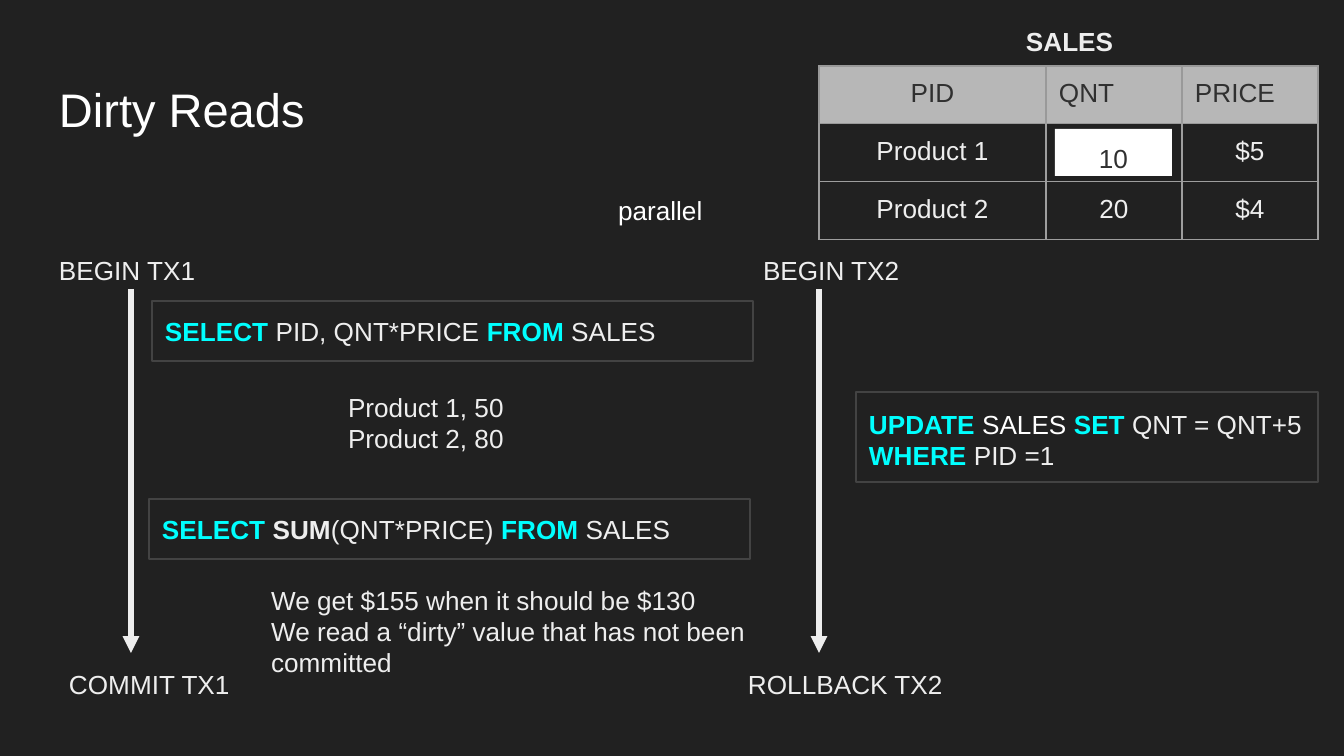
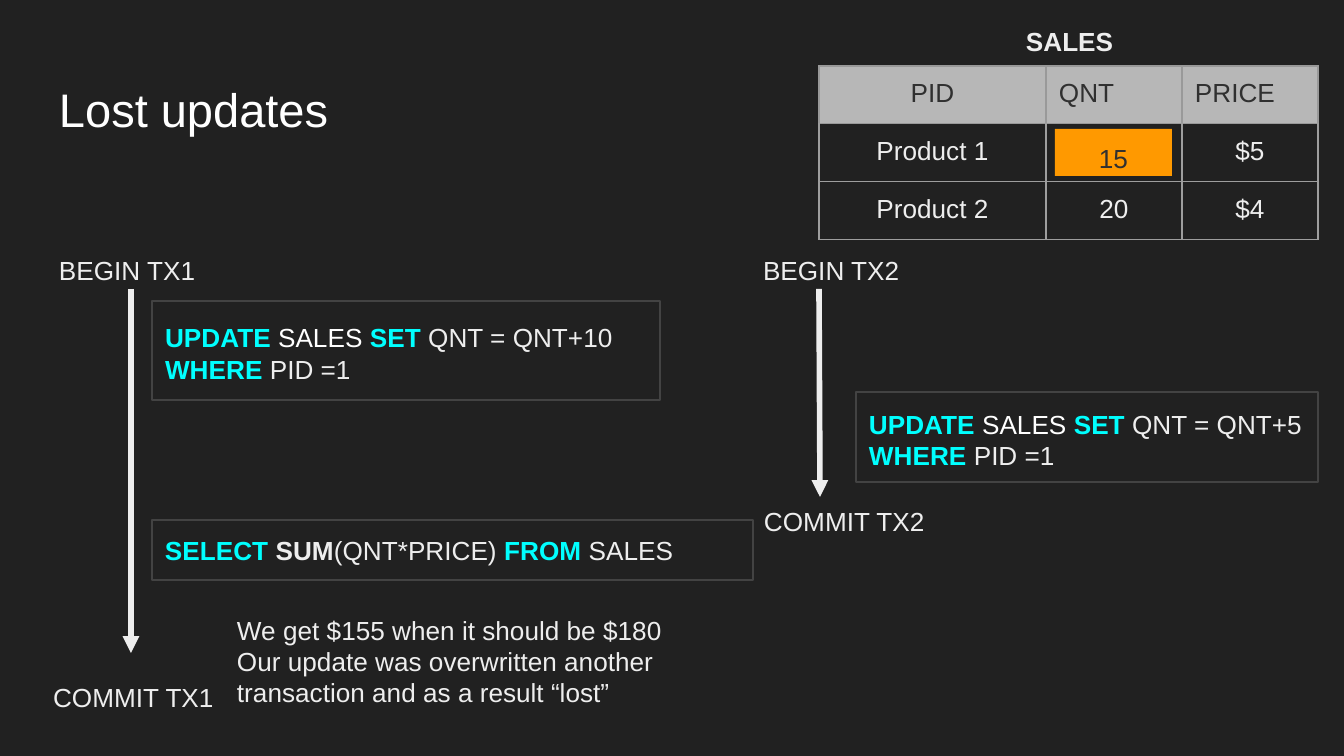
from lxml import etree
from pptx import Presentation
from pptx import util as u
from pptx.dml.color import RGBColor
from pptx.enum import shapes, text
from pptx.oxml.ns import qn

PX = 914400 / 134.4
SLIDE_W, SLIDE_H = 1344, 756
INSET = 13
FONT = "Arial"
BODY_SIZE, TITLE_SIZE = 14, 25.2

BACKGROUND = RGBColor(0x21, 0x21, 0x21)
WHITE = RGBColor(0xFF, 0xFF, 0xFF)
LIGHT = RGBColor(0xEE, 0xEE, 0xEE)
DARK = RGBColor(0x30, 0x30, 0x30)
CYAN = RGBColor(0x00, 0xFF, 0xFF)
ORANGE = RGBColor(0xFF, 0x99, 0x00)
HEADER_FILL = RGBColor(0xB7, 0xB7, 0xB7)
HEADER_BORDER = RGBColor(0x99, 0x99, 0x99)
CELL_BORDER = RGBColor(0x9E, 0x9E, 0x9E)
BOX_BORDER = RGBColor(0x43, 0x43, 0x43)

KEYWORD, FUNCTION = (CYAN, True), (LIGHT, True)
PLAIN, TARGET = (LIGHT, False), (WHITE, False)

SALES_ROWS = [("PID", "QNT", "PRICE"),
              ("Product 1", "10", "$5"),
              ("Product 2", "20", "$4")]
SALES_COLUMNS, SALES_HEIGHTS = (227, 136, 136), (50, 58, 58)
SALES_BOX = (819, 66, sum(SALES_COLUMNS), sum(SALES_HEIGHTS))

ROW_QUERY = [[("SELECT", KEYWORD), (" PID, QNT*PRICE ", PLAIN),
              ("FROM", KEYWORD), (" SALES", PLAIN)]]
SUM_QUERY = [[("SELECT ", KEYWORD), ("SUM", FUNCTION), ("(QNT*PRICE) ", PLAIN),
              ("FROM", KEYWORD), (" SALES", PLAIN)]]


def px(value):
    return u.Emu(round(value * PX))


def emu_box(box):
    return [px(value) for value in box]


def update_query(amount):
    return [[("UPDATE ", KEYWORD), ("SALES ", TARGET), ("SET ", KEYWORD),
             (f"QNT = QNT+{amount}", PLAIN)],
            [("WHERE ", KEYWORD), ("PID =1", PLAIN)]]


def style_font(font, color, bold=False, size=BODY_SIZE):
    font.name, font.size, font.bold = FONT, u.Pt(size), bold
    font.color.rgb = color


def set_frame(frame, anchor=text.MSO_ANCHOR.TOP):
    frame.word_wrap = True
    frame.vertical_anchor = anchor
    frame.margin_left = frame.margin_right = px(INSET)
    frame.margin_top = frame.margin_bottom = px(INSET)


def write_lines(frame, lines, color, align=text.PP_ALIGN.LEFT, **font_style):
    frame.text = "\n".join(lines)
    for paragraph in frame.paragraphs:
        paragraph.alignment = align
        style_font(paragraph.font, color, **font_style)


def add_label(slide, box, *lines, color=LIGHT, anchor=text.MSO_ANCHOR.TOP,
              **font_style):
    frame = slide.shapes.add_textbox(*emu_box(box)).text_frame
    set_frame(frame, anchor)
    write_lines(frame, lines, color, **font_style)
    return frame


def add_rectangle(slide, box):
    rectangle = slide.shapes.add_shape(shapes.MSO_SHAPE.RECTANGLE, *emu_box(box))
    rectangle.shadow.inherit = False
    return rectangle


def add_query(slide, box, query):
    """Outlined SQL statement; query is a list of lines of (text, style) runs."""
    statement = add_rectangle(slide, box)
    statement.fill.background()
    statement.line.color.rgb = BOX_BORDER
    statement.line.width = u.Pt(0.75)
    frame = statement.text_frame
    set_frame(frame, text.MSO_ANCHOR.MIDDLE)
    for index, line in enumerate(query):
        paragraph = frame.add_paragraph() if index else frame.paragraphs[0]
        paragraph.alignment = text.PP_ALIGN.LEFT
        for words, style in line:
            run = paragraph.add_run()
            run.text = words
            style_font(run.font, *style)
    if len(query) > 1:
        frame.paragraphs[0].line_spacing = 1.15


def add_time_arrow(slide, start, end):
    arrow = slide.shapes.add_connector(
        shapes.MSO_CONNECTOR.STRAIGHT, *emu_box(start + end))
    arrow.line.color.rgb = LIGHT
    arrow.line.width = u.Pt(3)
    etree.SubElement(arrow.line._get_or_add_ln(), qn("a:tailEnd"), type="triangle")
    etree.SubElement(arrow._element.spPr, qn("a:effectLst"))


def add_transaction(slide, name, begin_box, arrow_start, arrow_end, ending, end_box):
    add_time_arrow(slide, arrow_start, arrow_end)
    add_label(slide, begin_box, f"BEGIN {name}")
    add_label(slide, end_box, f"{ending} {name}")


def set_borders(cell, color, top_color):
    properties = cell._tc.get_or_add_tcPr()
    for index, side in enumerate(("lnL", "lnR", "lnT", "lnB")):
        border = etree.Element(qn(f"a:{side}"), w=str(u.Pt(0.75)))
        fill = etree.SubElement(border, qn("a:solidFill"))
        side_color = top_color if side == "lnT" else color
        etree.SubElement(fill, qn("a:srgbClr"), val=str(side_color))
        properties.insert(index, border)


def style_cell(cell, words, row, column):
    header = row == 0
    if header:
        cell.fill.solid()
        cell.fill.fore_color.rgb = HEADER_FILL
    else:
        cell.fill.background()
    cell.margin_left = cell.margin_right = px(INSET)
    cell.margin_top = cell.margin_bottom = px(INSET)
    left_aligned = header and column > 0
    write_lines(cell.text_frame, [words], DARK if header else LIGHT,
                text.PP_ALIGN.LEFT if left_aligned else text.PP_ALIGN.CENTER)
    set_borders(cell, HEADER_BORDER if header else CELL_BORDER,
                HEADER_BORDER if row < 2 else CELL_BORDER)


def add_sales_table(slide, box):
    left, top, *_ = box
    add_label(slide, (left + 194, top - 54, 133, 47), "SALES", bold=True)
    sales = slide.shapes.add_table(
        len(SALES_ROWS), len(SALES_COLUMNS), *emu_box(box)).table
    sales.first_row = sales.horz_banding = False
    for column, width in zip(sales.columns, SALES_COLUMNS):
        column.width = px(width)
    for row, height in zip(sales.rows, SALES_HEIGHTS):
        row.height = px(height)
    for r, values in enumerate(SALES_ROWS):
        for c, value in enumerate(values):
            style_cell(sales.cell(r, c), value, r, c)


def add_current_quantity(slide, table_box, quantity, color):
    """Value laid over the quantity cell of Product 1."""
    left, top, *_ = table_box
    marker = add_rectangle(slide, (left + 236, top + 63, 117, 47))
    marker.fill.solid()
    marker.fill.fore_color.rgb = color
    marker.line.fill.background()
    set_frame(marker.text_frame)
    write_lines(marker.text_frame, [quantity], DARK, text.PP_ALIGN.CENTER)


def add_anomaly_slide(deck, title, quantity, quantity_color, tx1_end_box,
                      tx2_arrow_end, tx2_ending, tx2_end_box):
    """Slide with the sales table, two transactions and the second one's update."""
    slide = deck.slides.add_slide(deck.slide_layouts[6])
    slide.background.fill.solid()
    slide.background.fill.fore_color.rgb = BACKGROUND
    add_label(slide, (46, 66, 323, 85), title, color=WHITE, size=TITLE_SIZE,
              anchor=text.MSO_ANCHOR.MIDDLE)
    add_transaction(slide, "TX1", (46, 241, 164, 47), (131, 289), (131, 653),
                    "COMMIT", tx1_end_box)
    add_transaction(slide, "TX2", (750, 241, 164, 47), (819, 289), tx2_arrow_end,
                    tx2_ending, tx2_end_box)
    add_sales_table(slide, SALES_BOX)
    add_current_quantity(slide, SALES_BOX, quantity, quantity_color)
    add_query(slide, (856, 392, 462, 90), update_query(5))
    return slide


def add_dirty_reads(deck):
    slide = add_anomaly_slide(deck, "Dirty Reads", "10", WHITE, (56, 655, 195, 47),
                              (819, 653), "ROLLBACK", (735, 655, 238, 47))
    add_query(slide, (152, 301, 601, 60), ROW_QUERY)
    add_label(slide, (335, 378, 184, 60), "Product 1, 50", "Product 2, 80")
    add_query(slide, (149, 499, 601, 60), SUM_QUERY)
    add_label(slide, (258, 571, 508, 60), "We get $155 when it should be $130",
              "We read a “dirty” value that has not been committed")
    parallel = add_label(slide, (605, 187, 112, 46), "parallel", color=WHITE)
    parallel.word_wrap = False
    parallel.margin_top = parallel.margin_bottom = px(7)


def add_lost_updates(deck):
    slide = add_anomaly_slide(deck, "Lost updates", "15", ORANGE, (40, 668, 195, 47),
                              (820, 497), "COMMIT", (751, 492, 238, 47))
    add_query(slide, (152, 301, 508, 99), update_query(10))
    add_query(slide, (152, 520, 601, 60), SUM_QUERY)
    add_label(slide, (224, 601, 508, 108), "We get $155 when it should be $180",
              "Our update was overwritten another transaction and as a result “lost”")


def main():
    deck = Presentation()
    deck.slide_width, deck.slide_height = px(SLIDE_W), px(SLIDE_H)
    add_dirty_reads(deck)
    add_lost_updates(deck)
    deck.save("out.pptx")


if __name__ == "__main__":
    main()
